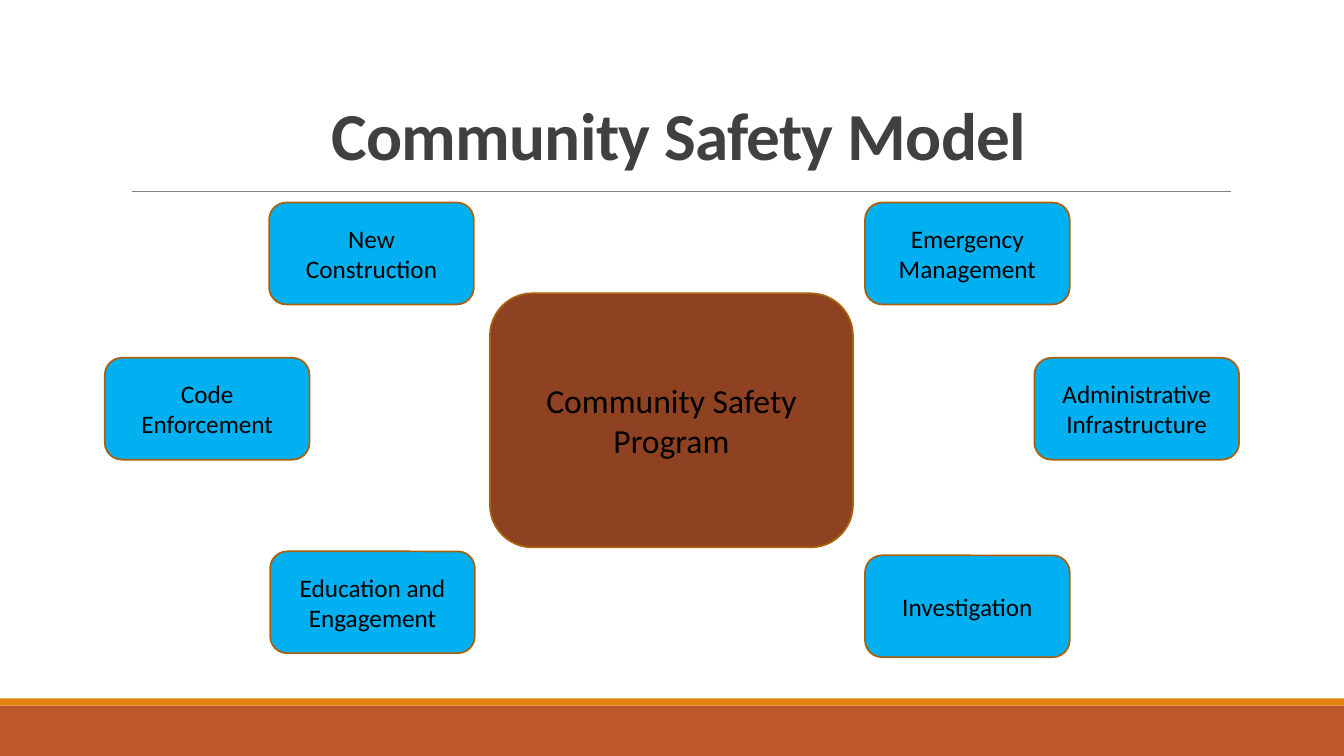
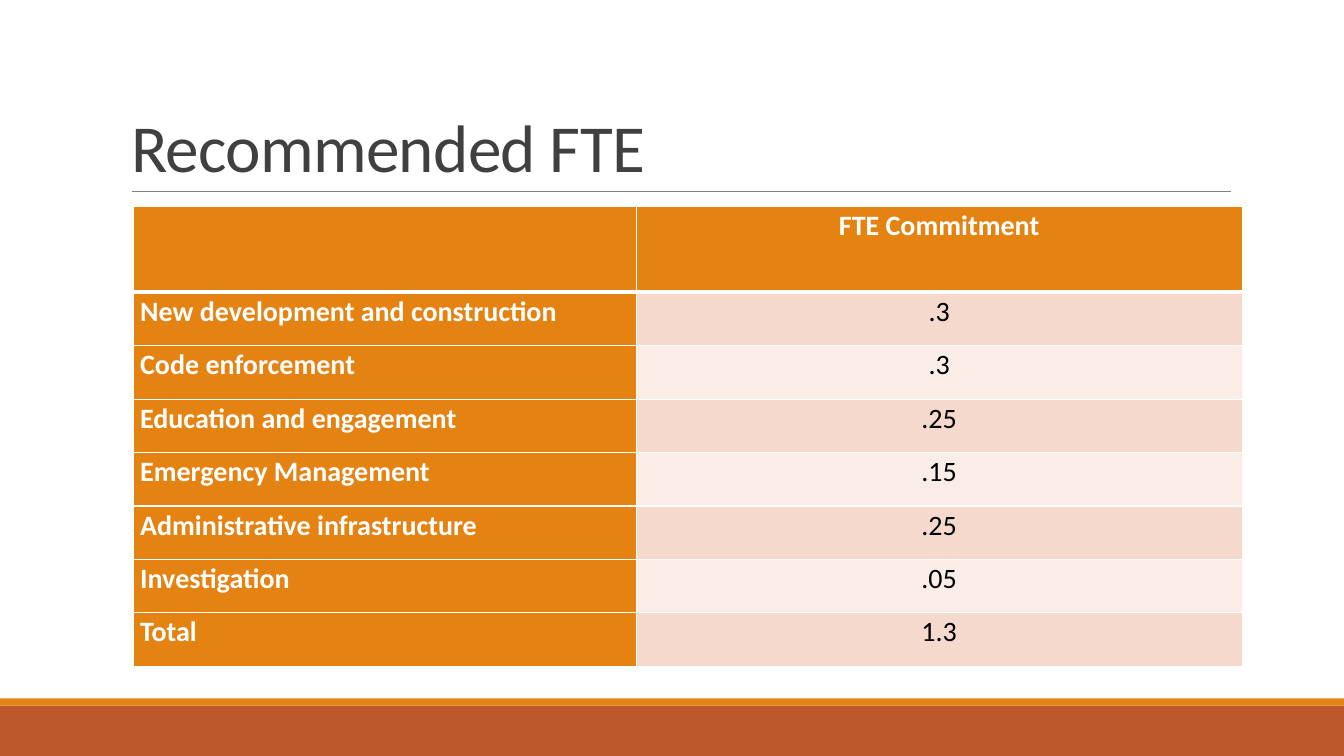
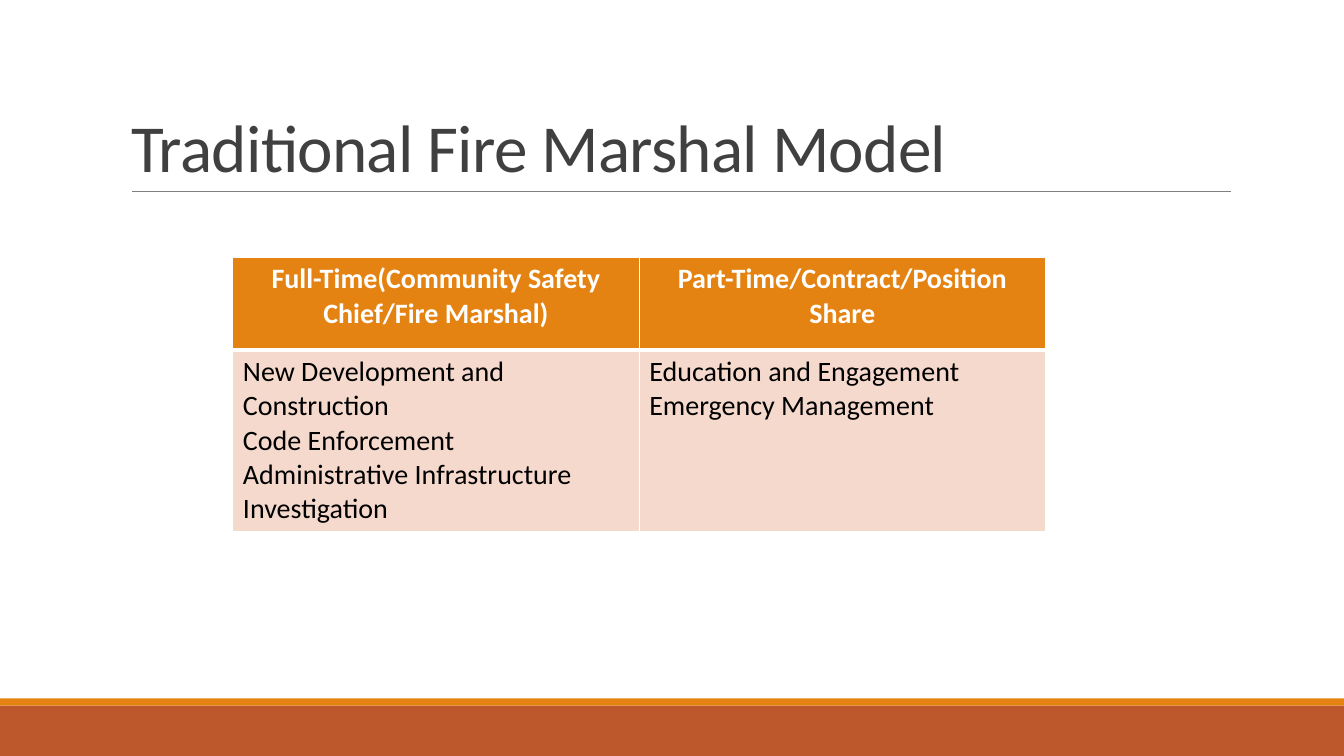
from lxml.etree import SubElement
from pptx import Presentation
from pptx.dml.color import RGBColor
from pptx.enum.shapes import MSO_CONNECTOR, MSO_SHAPE
from pptx.enum.text import MSO_ANCHOR, MSO_AUTO_SIZE, PP_ALIGN
from pptx.oxml.ns import qn
from pptx.util import Inches, Pt

FONT = "Calibri"
WHITE = RGBColor(0xFF, 0xFF, 0xFF)
BLACK = RGBColor(0x00, 0x00, 0x00)
TITLE_GRAY = RGBColor(0x40, 0x40, 0x40)
RULE_GRAY = RGBColor(0x80, 0x80, 0x80)
RUST = RGBColor(0xBD, 0x58, 0x2C)
ORANGE = RGBColor(0xE4, 0x83, 0x12)
BROWN = RGBColor(0x8E, 0x42, 0x21)
OUTLINE = RGBColor(0xA9, 0x61, 0x0D)
BLUE = RGBColor(0x00, 0xB0, 0xF0)
PINK = RGBColor(0xF5, 0xD9, 0xCC)
PALE_PINK = RGBColor(0xFA, 0xED, 0xE7)

SLIDE_WIDTH, SLIDE_HEIGHT = 13.33, 7.5
AREA_WIDTH, AREA_HEIGHT = 2.03, 1.01
AREAS = [
    ("New Construction", 2.67, 2.01),
    ("Emergency Management", 8.58, 2.01),
    ("Code Enforcement", 1.04, 3.55),
    ("Administrative Infrastructure", 10.26, 3.55),
    ("Education and Engagement", 2.68, 5.47),
    ("Investigation", 8.58, 5.51),
]
FTE_ROWS = [
    ("", "FTE Commitment"),
    ("New development and construction", ".3"),
    ("Code enforcement", ".3"),
    ("Education and engagement", ".25"),
    ("Emergency Management", ".15"),
    ("Administrative infrastructure", ".25"),
    ("Investigation", ".05"),
    ("Total", "1.3"),
]
MARSHAL_ROWS = [
    ("Full-Time(Community Safety Chief/Fire Marshal)",
     "Part-Time/Contract/Position Share"),
    ("New Development and Construction\nCode Enforcement\n"
     "Administrative Infrastructure\nInvestigation",
     "Education and Engagement\nEmergency Management"),
]


def write_text(frame, text, size=20, color=BLACK, bold=False,
               align=PP_ALIGN.LEFT, line_spacing=1.0, tracking=None):
    for index, line in enumerate(text.split("\n")):
        paragraph = frame.add_paragraph() if index else frame.paragraphs[0]
        paragraph.alignment = align
        paragraph.line_spacing = line_spacing
        run = paragraph.add_run()
        run.text = line
        run.font.name = FONT
        run.font.size = Pt(size)
        run.font.bold = bold
        run.font.color.rgb = color
        if tracking is not None:
            run._r.get_or_add_rPr().set("spc", str(int(tracking * 100)))


def place(shape, left, top, width, height):
    shape.left, shape.top = Inches(left), Inches(top)
    shape.width, shape.height = Inches(width), Inches(height)


def add_box(slide, kind, left, top, width, height, fill, outline=None):
    shape = slide.shapes.add_shape(
        kind, Inches(left), Inches(top), Inches(width), Inches(height))
    shape.shadow.inherit = False
    shape.fill.solid()
    shape.fill.fore_color.rgb = fill
    if outline is None:
        shape.line.fill.background()
    else:
        shape.line.color.rgb = outline
        shape.line.width = Pt(1.25)
    return shape


def add_rounded_box(slide, text, left, top, width, height, fill, size):
    shape = add_box(slide, MSO_SHAPE.ROUNDED_RECTANGLE,
                    left, top, width, height, fill, OUTLINE)
    shape.text_frame.word_wrap = True
    shape.text_frame.vertical_anchor = MSO_ANCHOR.MIDDLE
    write_text(shape.text_frame, text, size=size, align=PP_ALIGN.CENTER)


def add_rule(slide, left, right, top):
    connector = slide.shapes.add_connector(
        MSO_CONNECTOR.STRAIGHT, Inches(left), Inches(top), Inches(right), Inches(top))
    connector.line.color.rgb = RULE_GRAY
    connector.line.width = Pt(0.5)
    SubElement(connector.element.spPr, qn("a:effectLst"))
    return connector


def decorate_layout(layout, slide):
    place(layout.placeholders[0], 1.2, 0.31, 11, 1.59)
    decorations = [
        add_box(slide, MSO_SHAPE.RECTANGLE, 0, 7, SLIDE_WIDTH, 0.5, RUST),
        add_box(slide, MSO_SHAPE.RECTANGLE, 0, 6.93, SLIDE_WIDTH, 0.07, ORANGE),
        add_rule(slide, 1.31, 12.21, 1.9),
    ]
    for shape in decorations:
        layout.shapes.element.append(shape.element)


def set_title(slide, text, **text_format):
    frame = slide.shapes.title.text_frame
    frame.word_wrap = True
    frame.auto_size = MSO_AUTO_SIZE.NONE
    frame.vertical_anchor = MSO_ANCHOR.BOTTOM
    write_text(frame, text, size=48, color=TITLE_GRAY, line_spacing=0.85,
               tracking=-0.5, **text_format)


def set_borders(cell, top=1, bottom=1):
    properties = cell._tc.get_or_add_tcPr()
    widths = {"a:lnL": 1, "a:lnR": 1, "a:lnT": top, "a:lnB": bottom}
    for position, (tag, width) in enumerate(widths.items()):
        line = SubElement(properties, qn(tag), w=str(Pt(width)))
        fill = SubElement(line, qn("a:solidFill"))
        SubElement(fill, qn("a:srgbClr"), val=str(WHITE))
        properties.insert(position, line)


def add_table(slide, rows, left, top, widths, heights, label_column=False,
              body_align=PP_ALIGN.LEFT, line_spacing=1.0, margins=(0.1, 0.05)):
    table = slide.shapes.add_table(
        len(rows), len(widths), Inches(left), Inches(top),
        Inches(sum(widths)), Inches(sum(heights))).table
    table.first_row = table.horz_banding = False
    for column, width in zip(table.columns, widths):
        column.width = Inches(width)
    for row, height in zip(table.rows, heights):
        row.height = Inches(height)
    for row_index, texts in enumerate(rows):
        for column_index, text in enumerate(texts):
            cell = table.cell(row_index, column_index)
            header = row_index == 0
            label = label_column and column_index == 0
            cell.margin_left = cell.margin_right = Inches(margins[0])
            cell.margin_top = cell.margin_bottom = Inches(margins[1])
            cell.fill.solid()
            band = PINK if row_index % 2 else PALE_PINK
            cell.fill.fore_color.rgb = ORANGE if header or label else band
            set_borders(cell, top=3 if row_index == 1 else 1, bottom=3 if header else 1)
            if text:
                align = PP_ALIGN.CENTER if header else body_align
                write_text(cell.text_frame, text,
                           color=WHITE if header or label else BLACK,
                           bold=header or label,
                           align=PP_ALIGN.LEFT if label else align,
                           line_spacing=line_spacing)


def build_model_slide(slide):
    place(slide.shapes.title, 0.91, 0.33, 11.5, 1.45)
    set_title(slide, " Community Safety Model", bold=True, align=PP_ALIGN.CENTER)
    add_rounded_box(slide, "Community Safety Program", 4.86, 2.91, 3.6, 2.52, BROWN, 24)
    for text, left, top in AREAS:
        add_rounded_box(slide, text, left, top, AREA_WIDTH, AREA_HEIGHT, BLUE, 18)


def build_fte_slide(slide):
    set_title(slide, "Recommended FTE")
    add_table(slide, FTE_ROWS, 1.32, 2.05, [4.99, 6.01],
              [0.85] + [0.53] * (len(FTE_ROWS) - 1), label_column=True,
              body_align=PP_ALIGN.CENTER, line_spacing=1.07, margins=(0.07, 0))


def build_marshal_slide(slide):
    set_title(slide, "Traditional Fire Marshal Model")
    add_table(slide, MARSHAL_ROWS, 2.31, 2.55, [4.03, 4.03], [0.92, 1.7])


def main():
    presentation = Presentation()
    presentation.slide_width = Inches(SLIDE_WIDTH)
    presentation.slide_height = Inches(SLIDE_HEIGHT)
    layout = presentation.slide_layouts.get_by_name("Title Only")
    builders = [build_model_slide, build_fte_slide, build_marshal_slide]
    slides = [presentation.slides.add_slide(layout) for _ in builders]
    decorate_layout(layout, slides[0])
    for build, slide in zip(builders, slides):
        build(slide)
    presentation.save("out.pptx")


if __name__ == "__main__":
    main()
